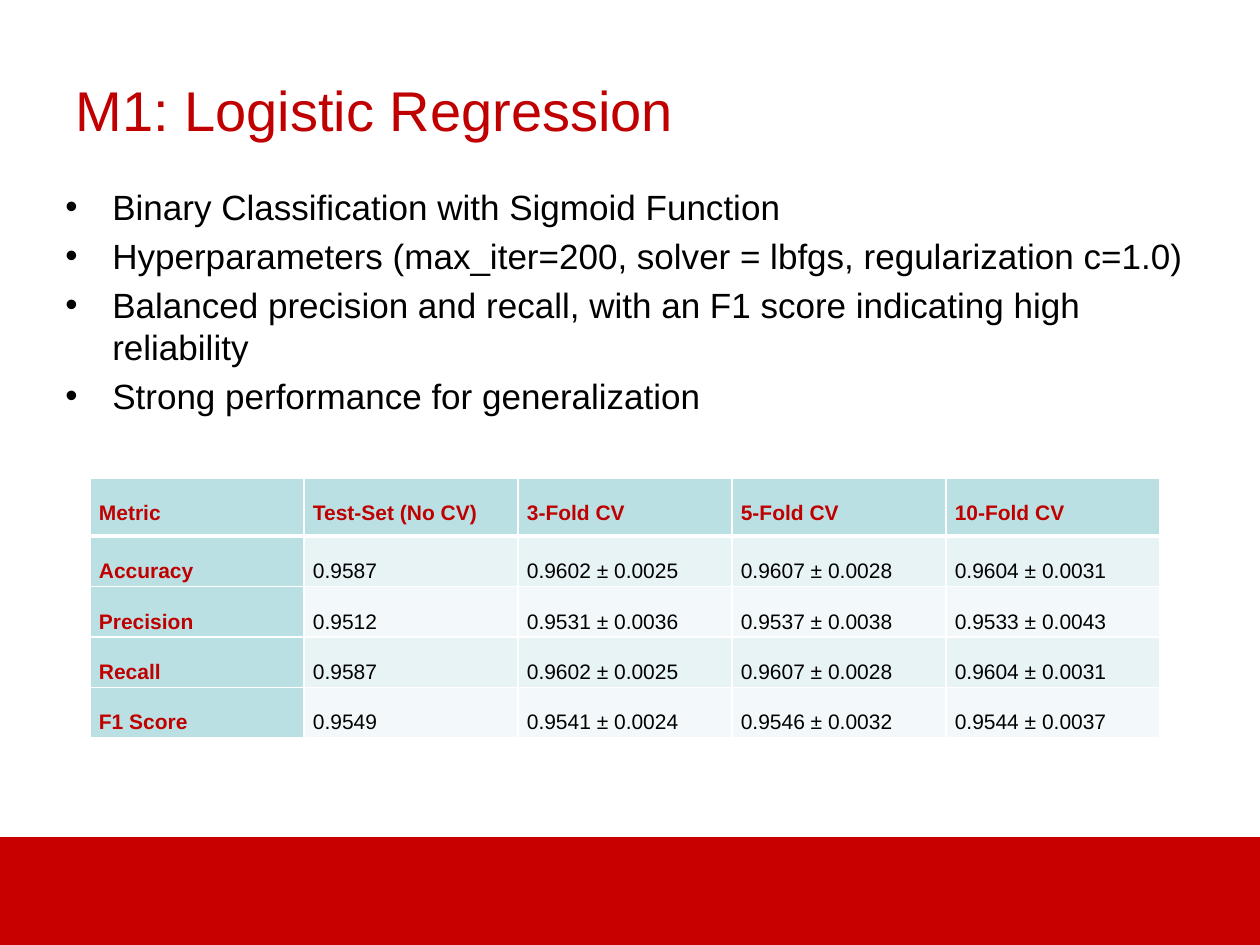
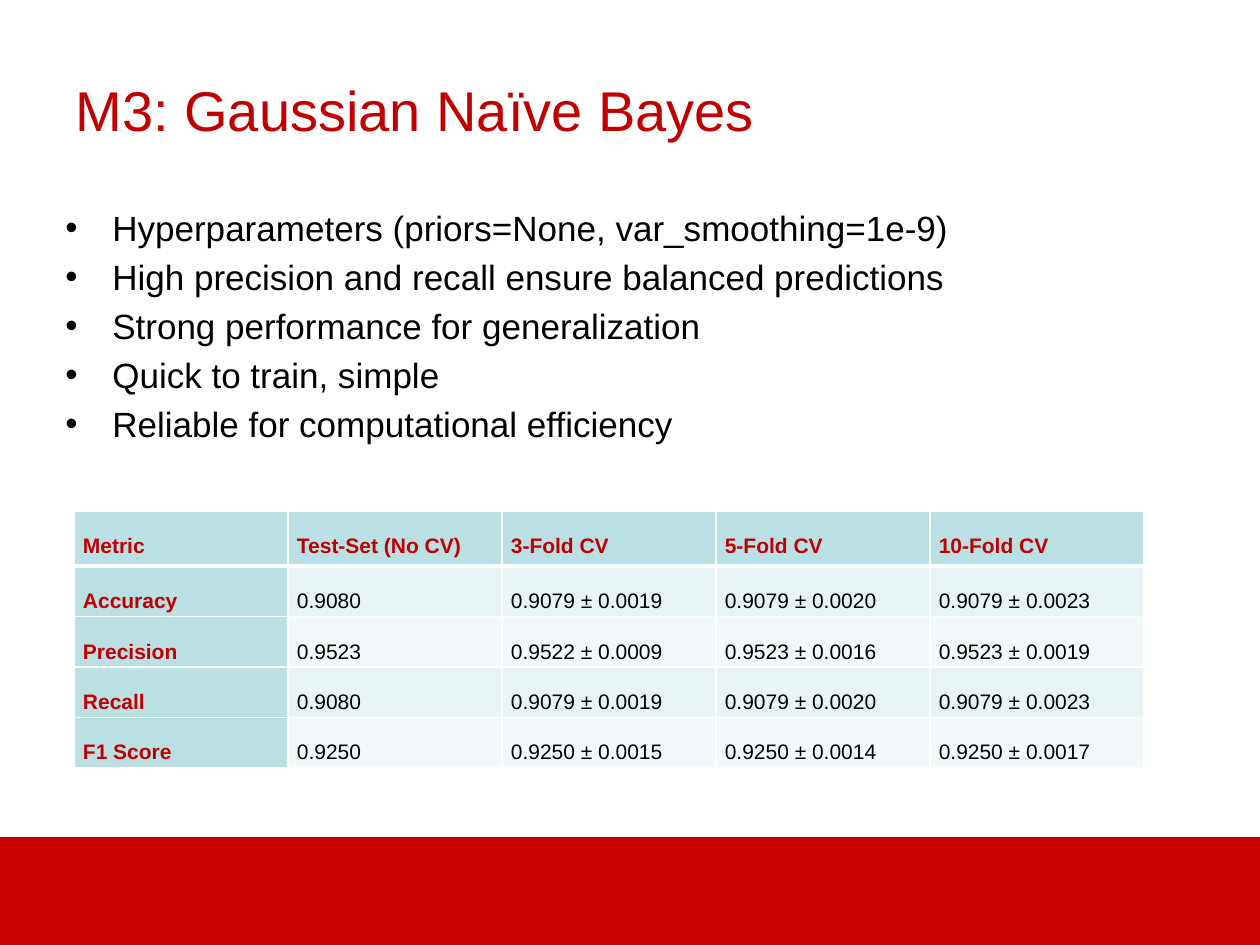
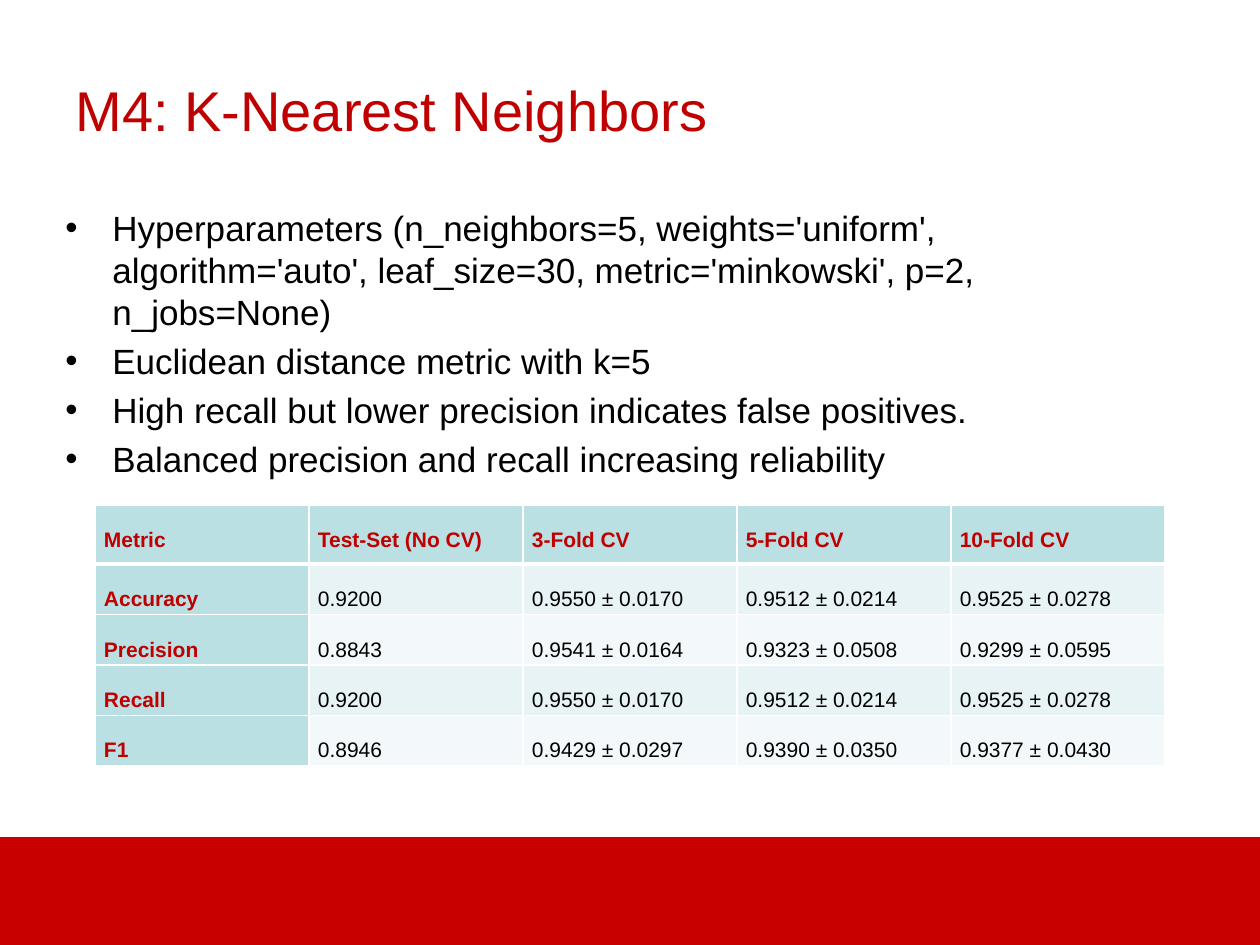
import dataclasses

import pptx
import pptx.dml.color
import pptx.enum.shapes
import pptx.enum.text
import pptx.oxml
import pptx.oxml.ns
import pptx.util

HEADINGS = ["Metric", "Test-Set (No CV)", "3-Fold CV", "5-Fold CV", "10-Fold CV"]

# Each place is in px: bullets_top, bullets_height, table_left, table_top, header_height.
MODELS = [
    {
        "title": "M1: Logistic Regression",
        "bullets": [
            "Binary Classification with Sigmoid Function",
            "Hyperparameters (max_iter=200, solver = lbfgs, regularization c=1.0)",
            "Balanced precision and recall, with an F1 score indicating high reliability",
            "Strong performance for generalization",
        ],
        "scores": [
            ["Accuracy", "0.9587", "0.9602 ± 0.0025", "0.9607 ± 0.0028", "0.9604 ± 0.0031"],
            ["Precision", "0.9512", "0.9531 ± 0.0036", "0.9537 ± 0.0038", "0.9533 ± 0.0043"],
            ["Recall", "0.9587", "0.9602 ± 0.0025", "0.9607 ± 0.0028", "0.9604 ± 0.0031"],
            ["F1 Score", "0.9549", "0.9541 ± 0.0024", "0.9546 ± 0.0032", "0.9544 ± 0.0037"],
        ],
        "place": (179, 273, 90, 478, 58),
    },
    {
        "title": "M3: Gaussian Naïve Bayes",
        "bullets": [
            "Hyperparameters (priors=None, var_smoothing=1e-9)",
            "High precision and recall ensure balanced predictions",
            "Strong performance for generalization",
            "Quick to train, simple",
            "Reliable for computational efficiency",
        ],
        "scores": [
            ["Accuracy", "0.9080", "0.9079 ± 0.0019", "0.9079 ± 0.0020", "0.9079 ± 0.0023"],
            ["Precision", "0.9523", "0.9522 ± 0.0009", "0.9523 ± 0.0016", "0.9523 ± 0.0019"],
            ["Recall", "0.9080", "0.9079 ± 0.0019", "0.9079 ± 0.0020", "0.9079 ± 0.0023"],
            ["F1 Score", "0.9250", "0.9250 ± 0.0015", "0.9250 ± 0.0014", "0.9250 ± 0.0017"],
        ],
        "place": (200, 293, 74, 511, 55),
    },
    {
        "title": "M4: K-Nearest Neighbors",
        "bullets": [
            "Hyperparameters (n_neighbors=5, weights='uniform', algorithm='auto', "
            "leaf_size=30, metric='minkowski', p=2, n_jobs=None)",
            "Euclidean distance metric with k=5",
            "High recall but lower precision indicates false positives.",
            "Balanced precision and recall increasing reliability",
        ],
        "scores": [
            ["Accuracy", "0.9200", "0.9550 ± 0.0170", "0.9512 ± 0.0214", "0.9525 ± 0.0278"],
            ["Precision", "0.8843", "0.9541 ± 0.0164", "0.9323 ± 0.0508", "0.9299 ± 0.0595"],
            ["Recall", "0.9200", "0.9550 ± 0.0170", "0.9512 ± 0.0214", "0.9525 ± 0.0278"],
            ["F1", "0.8946", "0.9429 ± 0.0297", "0.9390 ± 0.0350", "0.9377 ± 0.0430"],
        ],
        "place": (200, 325, 95, 505, 59),
    },
]


@dataclasses.dataclass(frozen=True)
class Theme:
    font: str = "Arial"
    title_size: int = 32
    bullet_size: int = 20
    bullet_line: int = 24
    bullet_gap: int = 4
    score_size: int = 12
    band: str = "C80000"
    accent: str = "C00000"
    text: str = "000000"
    heading_fill: str = "BBE0E3"
    row_fills: tuple = ("E7F3F4", "F3F9FA")
    border: str = "FFFFFF"


THEME = Theme()
PX_PER_INCH = 126
SLIDE_WIDTH, SLIDE_HEIGHT = 1260, 945
BAND_TOP = 837
TITLE_BOX = (63, 63, 1071, 157)
TITLE_TOP_INSET = 12
BULLETS_LEFT, BULLETS_WIDTH, BULLET_INDENT = 53, 1144, 47
COLUMN_WIDTH, ROW_HEIGHT, CELL_INSET = 214, 43, 9


def px(length):
    return pptx.util.Emu(round(length * pptx.util.Inches(1) / PX_PER_INCH))


def rgb(code):
    return pptx.dml.color.RGBColor.from_string(code)


def set_font(paragraph, size, color, bold=False):
    font = paragraph.font
    font.name, font.size, font.bold = THEME.font, pptx.util.Pt(size), bold
    font.color.rgb = rgb(color)


def add_band(slide):
    band = slide.shapes.add_shape(
        pptx.enum.shapes.MSO_SHAPE.RECTANGLE,
        0, px(BAND_TOP), px(SLIDE_WIDTH), px(SLIDE_HEIGHT - BAND_TOP))
    band.shadow.inherit = False
    band.fill.solid()
    band.fill.fore_color.rgb = rgb(THEME.band)
    band.line.fill.background()


def set_title(slide, wording):
    title = slide.shapes.title
    title.left, title.top, title.width, title.height = map(px, TITLE_BOX)
    frame = title.text_frame
    frame.text = wording
    frame.auto_size = pptx.enum.text.MSO_AUTO_SIZE.NONE
    frame.vertical_anchor = pptx.enum.text.MSO_ANCHOR.TOP
    frame.margin_top = px(TITLE_TOP_INSET)
    frame.paragraphs[0].alignment = pptx.enum.text.PP_ALIGN.LEFT
    set_font(frame.paragraphs[0], THEME.title_size, THEME.accent)


def add_bullets(slide, bullets, top, height):
    frame = slide.shapes.add_textbox(
        px(BULLETS_LEFT), px(top), px(BULLETS_WIDTH), px(height)).text_frame
    frame.word_wrap = True
    for index, wording in enumerate(bullets):
        paragraph = frame.add_paragraph() if index else frame.paragraphs[0]
        paragraph.text = wording
        properties = paragraph._p.get_or_add_pPr()
        properties.set("marL", str(px(BULLET_INDENT)))
        properties.set("indent", str(-px(BULLET_INDENT)))
        for tag, key, value in (("a:buFont", "typeface", THEME.font), ("a:buChar", "char", "•")):
            properties.append(pptx.oxml.parse_xml(
                f'<{tag} {pptx.oxml.ns.nsdecls("a")} {key}="{value}"/>'))
        paragraph.line_spacing = pptx.util.Pt(THEME.bullet_line)
        if index:
            paragraph.space_before = pptx.util.Pt(THEME.bullet_gap)
        set_font(paragraph, THEME.bullet_size, THEME.text)


def set_borders(cell, **widths):
    """Draw the cell's edges; widths are in points, keyed L, R, T and B."""
    properties = cell._tc.get_or_add_tcPr()
    for position, (edge, width) in enumerate(widths.items()):
        properties.insert(position, pptx.oxml.parse_xml(
            f'<a:ln{edge} {pptx.oxml.ns.nsdecls("a")} w="{pptx.util.Pt(width)}">'
            f'<a:solidFill><a:srgbClr val="{THEME.border}"/></a:solidFill></a:ln{edge}>'))


def add_scores(slide, scores, left, top, header_height):
    rows = [HEADINGS, *scores]
    heights = [header_height] + [ROW_HEIGHT] * len(scores)
    table = slide.shapes.add_table(
        len(rows), len(HEADINGS), px(left), px(top),
        px(COLUMN_WIDTH * len(HEADINGS)), px(sum(heights))).table
    for column in table.columns:
        column.width = px(COLUMN_WIDTH)
    for r, (values, height) in enumerate(zip(rows, heights)):
        table.rows[r].height = px(height)
        for c, value in enumerate(values):
            cell = table.cell(r, c)
            is_heading = r == 0 or c == 0
            cell.text = value
            cell.margin_left = cell.margin_right = px(CELL_INSET)
            cell.margin_top = cell.margin_bottom = 0
            cell.fill.solid()
            cell.fill.fore_color.rgb = rgb(
                THEME.heading_fill if is_heading else THEME.row_fills[(r - 1) % 2])
            set_borders(cell, L=1, R=1, T=3 if r == 1 else 1, B=3 if r == 0 else 1)
            paragraph = cell.text_frame.paragraphs[0]
            paragraph.alignment = pptx.enum.text.PP_ALIGN.JUSTIFY
            paragraph.line_spacing = 2.0
            set_font(paragraph, THEME.score_size,
                     THEME.accent if is_heading else THEME.text, is_heading)


def main():
    deck = pptx.Presentation()
    deck.slide_width, deck.slide_height = px(SLIDE_WIDTH), px(SLIDE_HEIGHT)
    title_only = deck.slide_layouts.get_by_name("Title Only")
    for model in MODELS:
        bullets_top, bullets_height, *table_place = model["place"]
        slide = deck.slides.add_slide(title_only)
        add_band(slide)
        set_title(slide, model["title"])
        add_bullets(slide, model["bullets"], bullets_top, bullets_height)
        add_scores(slide, model["scores"], *table_place)
    deck.save("out.pptx")


if __name__ == "__main__":
    main()
